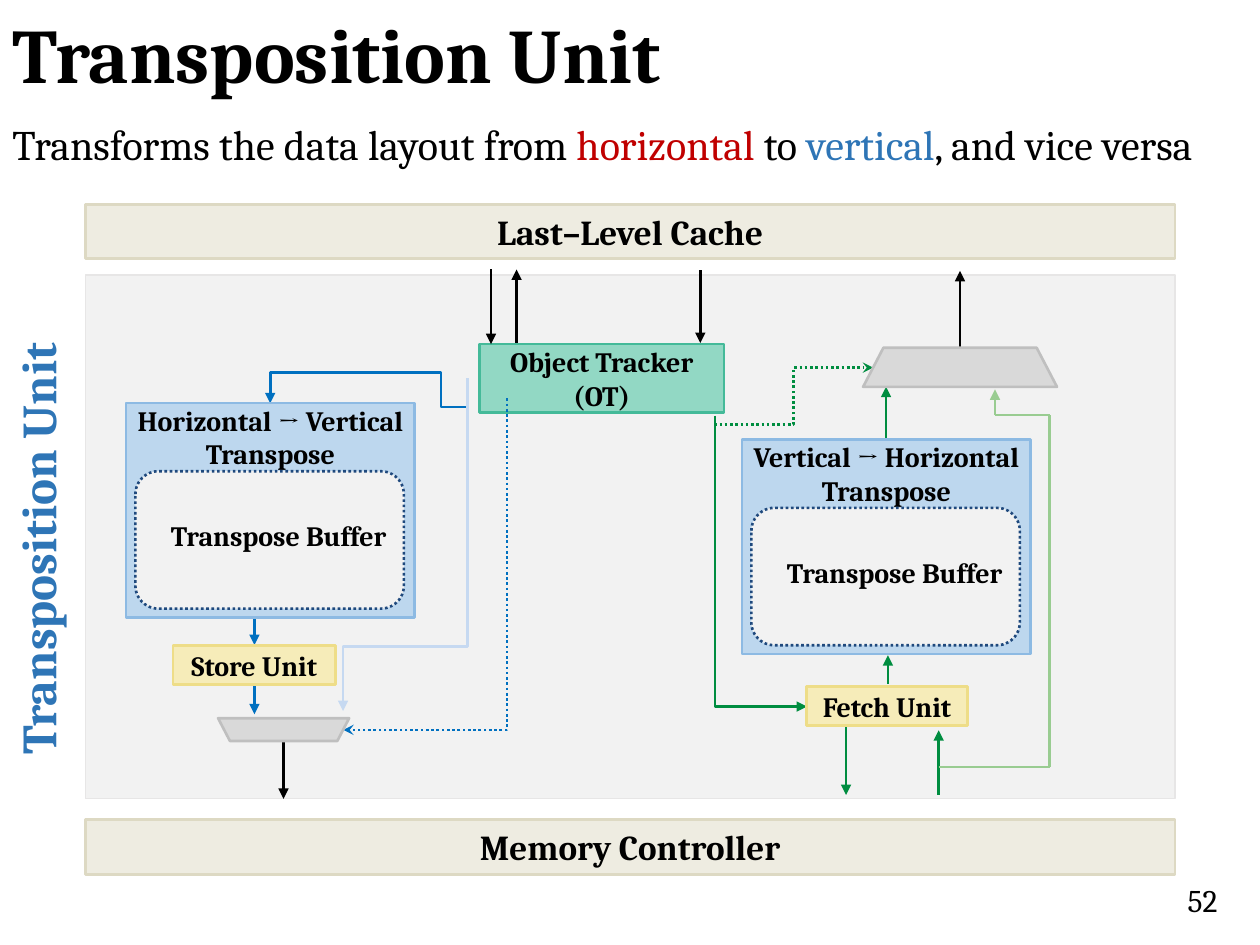
from itertools import pairwise

from lxml import etree
from pptx import Presentation
from pptx.dml.color import RGBColor
from pptx.enum import dml, shapes, text
from pptx.oxml import ns
from pptx.util import Pt

FONT = "Cambria"
KIND = shapes.MSO_SHAPE
ALIGN = text.PP_ALIGN
BLACK, BLUE, GREEN = "000000", "0070C0", "008D40"
PALE_BLUE, PALE_GREEN = "C6D9F1", "99CC91"
GREY, BEIGE, YELLOW = ("D9D9D9", "BFBFBF"), ("EEECE1", "DDD9C3"), ("F6ECB9", "EEDD88")

TITLE = "Transposition Unit"
SUMMARY = [
    ("Transforms the data layout from ", BLACK),
    ("horizontal", "C00000"),
    (" to ", BLACK),
    ("vertical", "2E75B6"),
    (", and vice versa", BLACK),
]
BACK_BOXES = [
    ((48.8, 157, 622.6, 299.3), ("F2F2F2", "E7E6E6"), "", 20),
    ((48.8, 116.8, 622.6, 31), BEIGE, "Last–Level Cache", 20),
    ((48.8, 468.2, 622.6, 31.4), BEIGE, "Memory Controller", 20),
    ((274, 196.7, 139.7, 39), ("92D8C4", "44BA99"), "Object Tracker (OT)", 16),
]
UNITS = [
    ((460.8, 392.4, 92.2, 22.4), YELLOW, "Fetch Unit", 16),
    ((98.8, 368.8, 93, 22.4), YELLOW, "Store Unit", 16),
]
MULTIPLEXERS = [((493.2, 198.7, 110.8, 22.4), 0), ((124.6, 410.4, 74.9, 13), 180)]
TRANSPOSERS = [
    (424, 251.3, "Vertical → Horizontal"),
    (72, 230.4, "Horizontal → Vertical"),
]
ARROWS = [
    ((295.2, 196), (295.2, 154), BLACK),
    ((280.6, 154), (280.6, 196.6), BLACK),
    ((400.2, 154.4), (400.2, 196), BLACK),
    ((548.6, 198.7), (548.6, 154.8), BLACK),
    ((162, 423.4), (162, 456.5), BLACK),
    ((507.4, 391), (507.4, 374.4), GREEN),
    ((536.4, 454.3), (536.4, 417.3), GREEN),
    ((506.3, 251.3), (506.3, 221), GREEN),
    ((483.5, 415.4), (483.5, 454.3), GREEN),
    ((145.4, 351.4), (145.4, 368.6), BLUE),
    ((145.4, 391), (145.4, 408.2), BLUE),
]
BYPASS = [(536.4, 438.3), (599.8, 438.3), (599.8, 237.2), (568.6, 237.2), (568.6, 222.5)]
ELBOWS = [
    ("bentConnector2", (351.7, 294.3, 166.3, 52.6), 270, "flipH", [], GREEN, False),
    ("bentConnector3", (408.2, 210.1, 90.7, 32.4), 0, "flipV", [50000], GREEN, True),
    ("bentConnector4", (154.4, 230.4, 113, 2.2), 180, "", [13600, 900000], BLUE, False),
    ("bentConnector3", (136.6, 275.6, 190.1, 71.3), 90, "", [80700], PALE_BLUE, False),
    ("bentConnector2", (148.3, 275.6, 189.4, 93.6), 90, "", [], BLUE, True),
]

presentation = Presentation()
presentation.slide_width, presentation.slide_height = Pt(720), Pt(540)
slide = presentation.slides.add_slide(presentation.slide_layouts[5])


def color(value):
    return RGBColor.from_string(value)


def style(paragraph, size, align=ALIGN.CENTER, bold=True, value=BLACK):
    paragraph.alignment = align
    font = paragraph.font
    font.name, font.size, font.bold = FONT, Pt(size), bold
    font.color.rgb = color(value)


def add_box(kind, place, colors, words="", size=16, width=1.5):
    shape = slide.shapes.add_shape(kind, *map(Pt, place))
    shape.shadow.inherit = False
    shape.fill.solid()
    shape.fill.fore_color.rgb = color(colors[0])
    shape.line.color.rgb = color(colors[1])
    shape.line.width = Pt(width)
    if words:
        shape.text_frame.text = words
        for paragraph in shape.text_frame.paragraphs:
            style(paragraph, size)
    return shape


def add_label(place, words, size, **look):
    label = slide.shapes.add_textbox(*map(Pt, place))
    label.text_frame.word_wrap = True
    label.text_frame.text = words
    style(label.text_frame.paragraphs[0], size, **look)
    return label


def add_line(start, end, value, head="triangle", kind=shapes.MSO_CONNECTOR.STRAIGHT):
    line = slide.shapes.add_connector(kind, *map(Pt, start + end))
    line.line.color.rgb = color(value)
    line.line.width = Pt(1.5)
    if head == "stealth":
        line.line.dash_style = dml.MSO_LINE.ROUND_DOT
    properties = line.element.spPr
    if head:
        outline = properties.find(ns.qn("a:ln"))
        etree.SubElement(outline, ns.qn("a:tailEnd"), type=head)
    etree.SubElement(properties, ns.qn("a:effectLst"))
    return line


def add_elbow(preset, place, rotation, flip, adjustments, value, dotted):
    left, top, width, height = place
    line = add_line((left, top), (left + width, top + height), value,
                    "stealth" if dotted else "triangle", shapes.MSO_CONNECTOR.ELBOW)
    properties = line.element.spPr
    transform = properties.find(ns.qn("a:xfrm"))
    transform.set("rot", str(rotation * 60000))
    if flip:
        transform.set(flip, "1")
    geometry = properties.find(ns.qn("a:prstGeom"))
    geometry.set("prst", preset)
    guides = geometry.find(ns.qn("a:avLst"))
    for number, amount in enumerate(adjustments, 1):
        etree.SubElement(guides, ns.qn("a:gd"), name=f"adj{number}", fmla=f"val {amount}")


def add_transposer(left, top, direction):
    box = add_box(KIND.RECTANGLE, (left, top, 165, 122.4), ("BDD7EE", "8DBAE3"),
                  f"{direction}\nTranspose")
    frame = box.text_frame
    frame.vertical_anchor = text.MSO_ANCHOR.TOP
    frame.margin_left = frame.margin_top = frame.margin_right = 0
    buffer = add_box(KIND.ROUNDED_RECTANGLE, (left + 5.4, top + 38.9, 153.4, 78.5),
                     ("F2F2F2", "1F497D"))
    buffer.line.dash_style = dml.MSO_LINE.ROUND_DOT
    add_label((left + 11.7, top + 62.4, 151.2, 26.6), "Transpose Buffer", 16)


def main():
    """Build the transposition unit slide."""
    title = slide.shapes.title
    title.left, title.top, title.width, title.height = map(Pt, (0, 4.2, 707.8, 58.3))
    title.text_frame.text = TITLE
    title.text_frame.auto_size = text.MSO_AUTO_SIZE.NONE
    title.text_frame.vertical_anchor = text.MSO_ANCHOR.MIDDLE
    style(title.text_frame.paragraphs[0], 44, ALIGN.LEFT)
    title.text_frame.paragraphs[0].line_spacing = 0.9

    for place, colors, words, size in BACK_BOXES:
        add_box(KIND.RECTANGLE, place, colors, words, size, 1.5 if words else 1)
    for start, end, value in ARROWS:
        add_line(start, end, value)
    for start, end in pairwise(BYPASS):
        add_line(start, end, PALE_GREEN, "triangle" if end == BYPASS[-1] else None)
    for elbow in ELBOWS:
        add_elbow(*elbow)
    for place, rotation in MULTIPLEXERS:
        multiplexer = add_box(KIND.TRAPEZOID, place, GREY)
        multiplexer.adjustments[0] = 0.52
        multiplexer.rotation = rotation
    for place, colors, words, size in UNITS:
        add_box(KIND.RECTANGLE, place, colors, words, size)
    for transposer in TRANSPOSERS:
        add_transposer(*transposer)

    side = add_label((-142.6, 293, 327.6, 41), TITLE, 28, value="2E75B6")
    side.rotation = 270
    add_label((432.7, 499.7, 270, 28.8), "52", 18, align=ALIGN.RIGHT, bold=False)
    summary = add_label((0, 64, 726.5, 36), "", 24, align=ALIGN.LEFT, bold=False)
    summary.text_frame.word_wrap = False
    for words, value in SUMMARY:
        run = summary.text_frame.paragraphs[0].add_run()
        run.text = words
        run.font.color.rgb = color(value)
    presentation.save("out.pptx")


if __name__ == "__main__":
    main()
